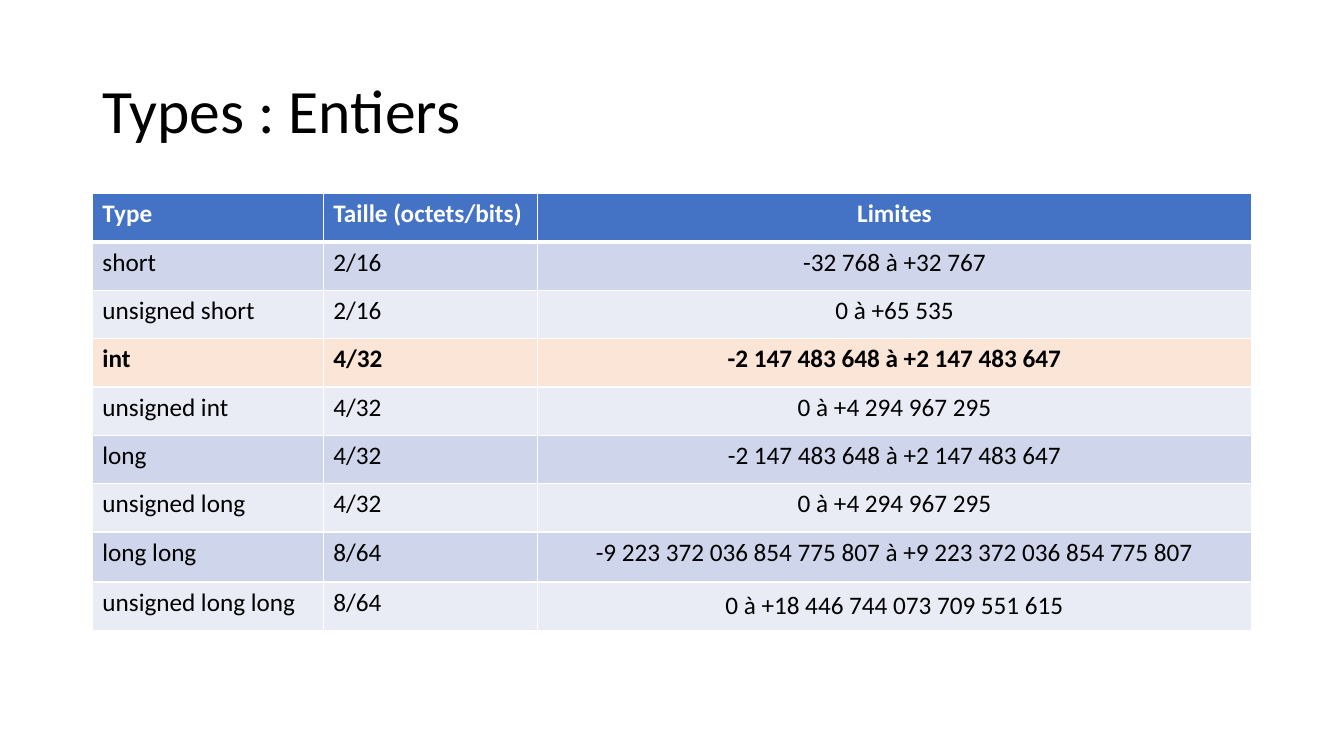
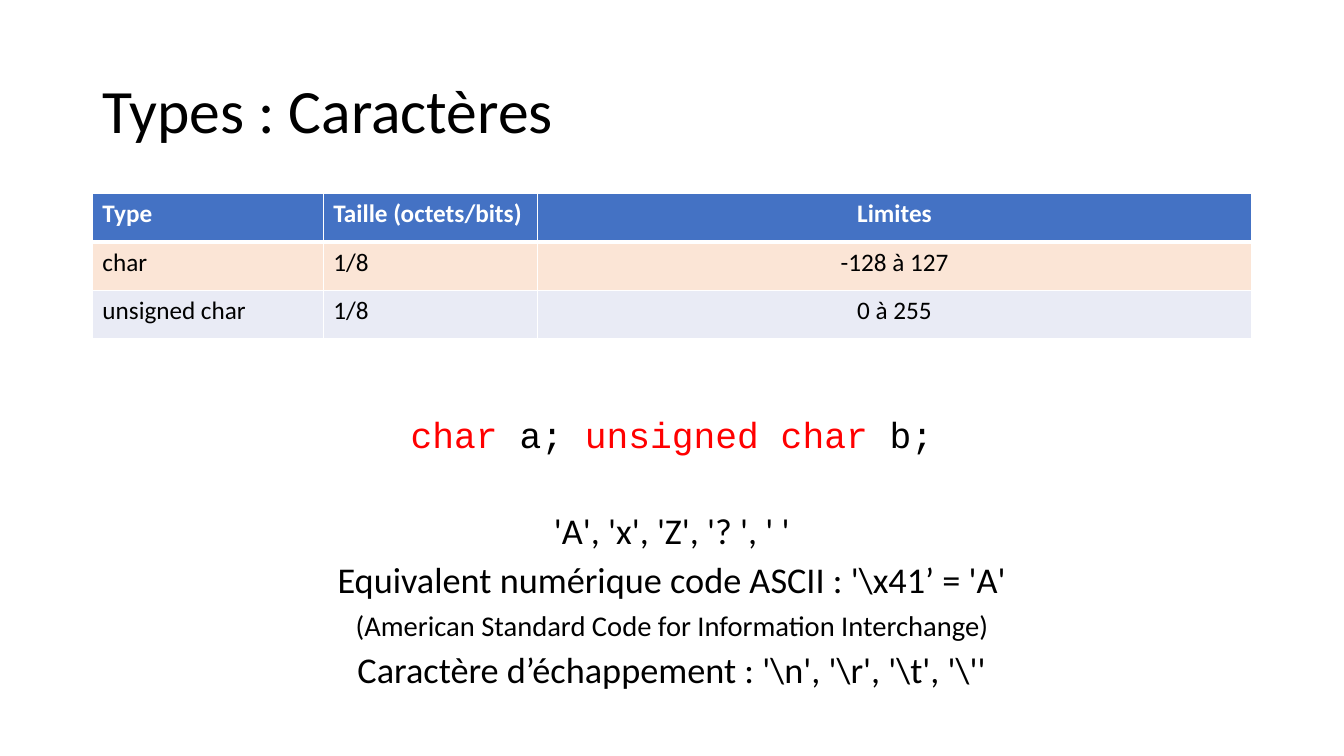
from lxml import etree
from pptx import Presentation
from pptx.dml.color import RGBColor
from pptx.enum.text import MSO_ANCHOR, MSO_AUTO_SIZE, PP_ALIGN
from pptx.oxml.ns import qn
from pptx.util import Pt

LEFT, CENTER = PP_ALIGN.LEFT, PP_ALIGN.CENTER
TOP, MIDDLE = MSO_ANCHOR.TOP, MSO_ANCHOR.MIDDLE
NO_FIT = MSO_AUTO_SIZE.NONE

COLORS = {
    "text": "000000",
    "white": "FFFFFF",
    "head": "4472C4",
    "odd": "CFD5EA",
    "even": "E9EBF5",
    "mark": "FBE5D6",
    "key": "FF0000",
}
SANS, MONO = "Calibri", "Courier New"
SIDE, WIDTH = 66, 828
TITLE = (SIDE, 28.8, WIDTH, 104.4)
GRID = (SIDE, 138.5, WIDTH)
NOTES = (SIDE, 296.5, WIDTH, 214.5)
SPLIT = (165, 153, 510)
ROW = 34.5
HEADS = ("Type", "Taille (octets/bits)", "Limites")

INTS = [
    ("short", "2/16", "-32 768 à +32 767"),
    ("unsigned short", "2/16", "0 à +65 535"),
    ("int", "4/32", "-2 147 483 648 à +2 147 483 647"),
    ("unsigned int", "4/32", "0 à +4 294 967 295"),
    ("long", "4/32", "-2 147 483 648 à +2 147 483 647"),
    ("unsigned long", "4/32", "0 à +4 294 967 295"),
    ("long long", "8/64", "-9 223 372 036 854 775 807 à +9 223 372 036 854 775 807"),
    ("unsigned long long", "8/64", "0 à +18 446 744 073 709 551 615"),
]
CHARS = [
    ("char", "1/8", "-128 à 127"),
    ("unsigned char", "1/8", "0 à 255"),
]
CODE = [("char ", "key"), ("a; ", "text"), ("unsigned char", "key"), (" b;", "text")]
LINES = [
    ([("'A', 'x', 'Z', '? ', ' '", "text")], SANS, 25.9, 44),
    ([(r"Equivalent numérique code ASCII : '\x41’ = 'A'", "text")], SANS, 25.9, 10),
    ([("(American Standard Code for Information Interchange)", "text")], SANS, 20.4, 10),
    ([(r"Caractère d’échappement : '\n', '\r', '\t', '\''", "text")], SANS, 25.9, 10),
]


def color(name):
    return RGBColor.from_string(COLORS[name])


def style(para, size, name, font=SANS, bold=False, align=LEFT):
    para.alignment = align
    para.font.size = Pt(size)
    para.font.name = font
    para.font.bold = bold
    para.font.color.rgb = color(name)


def place(shape, box):
    shape.left, shape.top, shape.width, shape.height = map(Pt, box)


def start(deck, layout, title):
    slide = deck.slides.add_slide(deck.slide_layouts[layout])
    head = slide.shapes.title
    place(head, TITLE)
    frame = head.text_frame
    frame.text = title
    frame.auto_size = NO_FIT
    frame.vertical_anchor = MIDDLE
    style(frame.paragraphs[0], 44, "text")
    frame.paragraphs[0].line_spacing = 0.9
    return slide


def border(cell, edges):
    props = cell._tc.get_or_add_tcPr()
    for tag, width in edges.items():
        line = etree.SubElement(props, qn("a:" + tag), w=str(Pt(width)))
        fill = etree.SubElement(line, qn("a:solidFill"))
        etree.SubElement(fill, qn("a:srgbClr"), val=COLORS["white"])


def paint(cell, text, fill, ink, bold, align):
    cell.text = text
    style(cell.text_frame.paragraphs[0], 18, ink, bold=bold, align=align)
    cell.vertical_anchor = TOP
    cell.fill.solid()
    cell.fill.fore_color.rgb = color(fill)


def grid(slide, box, data, mark, bold=False, tall=None):
    left, top, width = map(Pt, box)
    rows = [HEADS] + data
    shape = slide.shapes.add_table(len(rows), len(HEADS), left, top, width, Pt(ROW * len(rows)))
    table = shape.table
    table.horz_banding = False
    for col, size in zip(table.columns, SPLIT):
        col.width = Pt(size)
    for r, row in enumerate(rows):
        table.rows[r].height = Pt(35.8 if r == tall else ROW)
        fill = "head" if r == 0 else "mark" if r == mark else "odd" if r % 2 else "even"
        ink = "white" if r == 0 else "text"
        heavy = r == 0 or (bold and r == mark)
        edges = {"lnL": 1, "lnR": 1, "lnT": 3 if r == 1 else 1, "lnB": 3 if r == 0 else 1}
        for c, text in enumerate(row):
            cell = table.cell(r, c)
            border(cell, edges)
            paint(cell, text, fill, ink, heavy, CENTER if c == 2 else LEFT)
    return table


def notes(slide, box, lines):
    body = slide.placeholders[1]
    place(body, box)
    frame = body.text_frame
    frame.auto_size = NO_FIT
    frame.vertical_anchor = TOP
    for i, (runs, font, size, gap) in enumerate(lines):
        para = frame.add_paragraph() if i else frame.paragraphs[0]
        style(para, size, "text", font, align=CENTER)
        para.line_spacing = 0.8
        para.space_before = Pt(gap)
        props = para._p.get_or_add_pPr()
        props.set("marL", "0")
        props.set("indent", "0")
        props.insert_element_before(etree.Element(qn("a:buNone")), "a:tabLst", "a:defRPr", "a:extLst")
        for text, name in runs:
            run = para.add_run()
            run.text = text
            run.font.color.rgb = color(name)


def main():
    deck = Presentation()
    deck.slide_width, deck.slide_height = Pt(960), Pt(540)

    slide = start(deck, 5, "Types : Entiers")
    table = grid(slide, GRID, INTS, mark=3, bold=True, tall=7)
    table.cell(8, 2).vertical_anchor = MIDDLE

    slide = start(deck, 1, "Types : Caractères")
    grid(slide, GRID, CHARS, mark=1)
    notes(slide, NOTES, [(CODE, MONO, 25.9, 10)] + LINES)

    deck.save("out.pptx")


if __name__ == "__main__":
    main()
